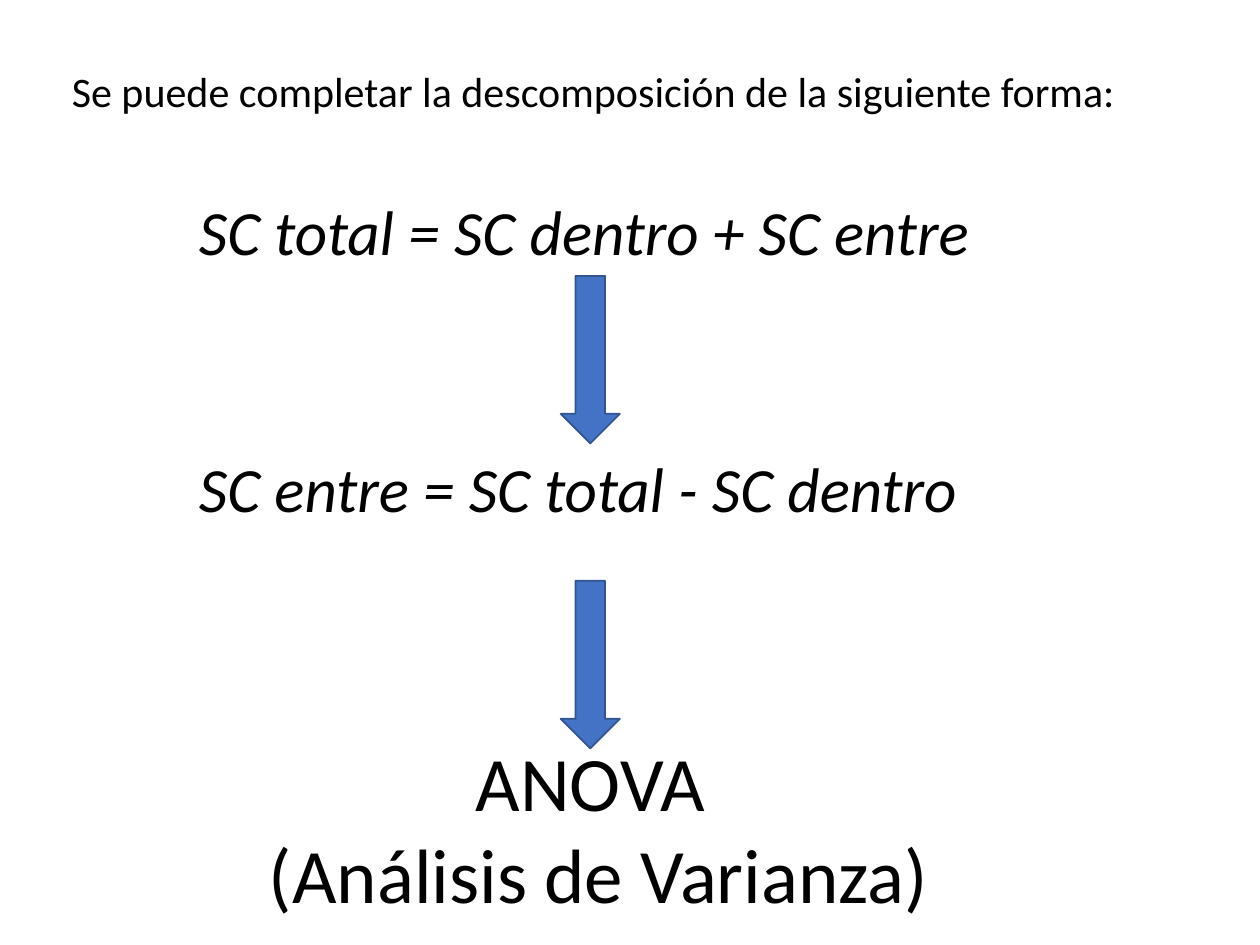
from pptx import Presentation
from pptx.dml.color import RGBColor as RGB
from pptx.enum.shapes import MSO_SHAPE as SHAPE
from pptx.enum.text import MSO_ANCHOR as ANCHOR, MSO_AUTO_SIZE as AUTO, PP_ALIGN as ALIGN
from pptx.util import Inches, Pt

THEME = {
    "font": "Calibri", "text": RGB(0, 0, 0),
    "fill": RGB(0x44, 0x72, 0xC4), "line": RGB(0x32, 0x54, 0x91),
    "intro": Pt(24), "formula": Pt(36), "result": Pt(44),
}

prs = Presentation()
prs.slide_width, prs.slide_height = Inches(10), Inches(7.5)
s = prs.slides.add_slide(prs.slide_layouts[5])  # title only
W, H = prs.slide_width, prs.slide_height


def place(sp, x, y, w, h):
    """Position a shape by shares of the slide, in percent."""
    sp.left, sp.top = int(W * x / 100), int(H * y / 100)
    sp.width, sp.height = int(W * w / 100), int(H * h / 100)


def write(sp, lines, size, align=ALIGN.LEFT, italic=None):
    """Fill a text shape with one paragraph per line."""
    tf = sp.text_frame
    tf.word_wrap = True
    tf.auto_size = AUTO.SHAPE_TO_FIT_TEXT
    tf.vertical_anchor = ANCHOR.TOP
    for i, line in enumerate(lines):
        p = tf.add_paragraph() if i else tf.paragraphs[0]
        p.alignment = align
        r = p.add_run()
        r.text = line
        r.font.name, r.font.size = THEME["font"], size
        r.font.color.rgb, r.font.italic = THEME["text"], italic


# Introductory sentence
title = s.shapes.title
place(title, 4.7, 6.27, 86.7, 6.67)
write(title, ["Se puede completar la descomposición de la siguiente forma:"], THEME["intro"])

# Formulas
formulas = ["SC total = SC dentro + SC entre", "SC entre = SC total - SC dentro"]
for formula, y in zip(formulas, (19.73, 46.93)):
    sp = s.shapes.add_textbox(0, 0, 0, 0)
    place(sp, 14.8, y, 64.8, 9.47)
    write(sp, [formula], THEME["formula"], italic=True)

# Arrows leading from step to step
for y in (29.2, 61.47):
    sp = s.shapes.add_shape(SHAPE.DOWN_ARROW, 0, 0, 0, 0)
    place(sp, 44.5, y, 4.7, 17.73)
    sp.shadow.inherit = False
    sp.fill.solid()
    sp.fill.fore_color.rgb = THEME["fill"]
    sp.line.color.rgb, sp.line.width = THEME["line"], Pt(1)

# Result
result = s.shapes.add_textbox(0, 0, 0, 0)
place(result, 7.8, 77.07, 78.1, 21.07)
write(result, ["ANOVA", " (Análisis de Varianza)"], THEME["result"], ALIGN.CENTER)

prs.save("out.pptx")
